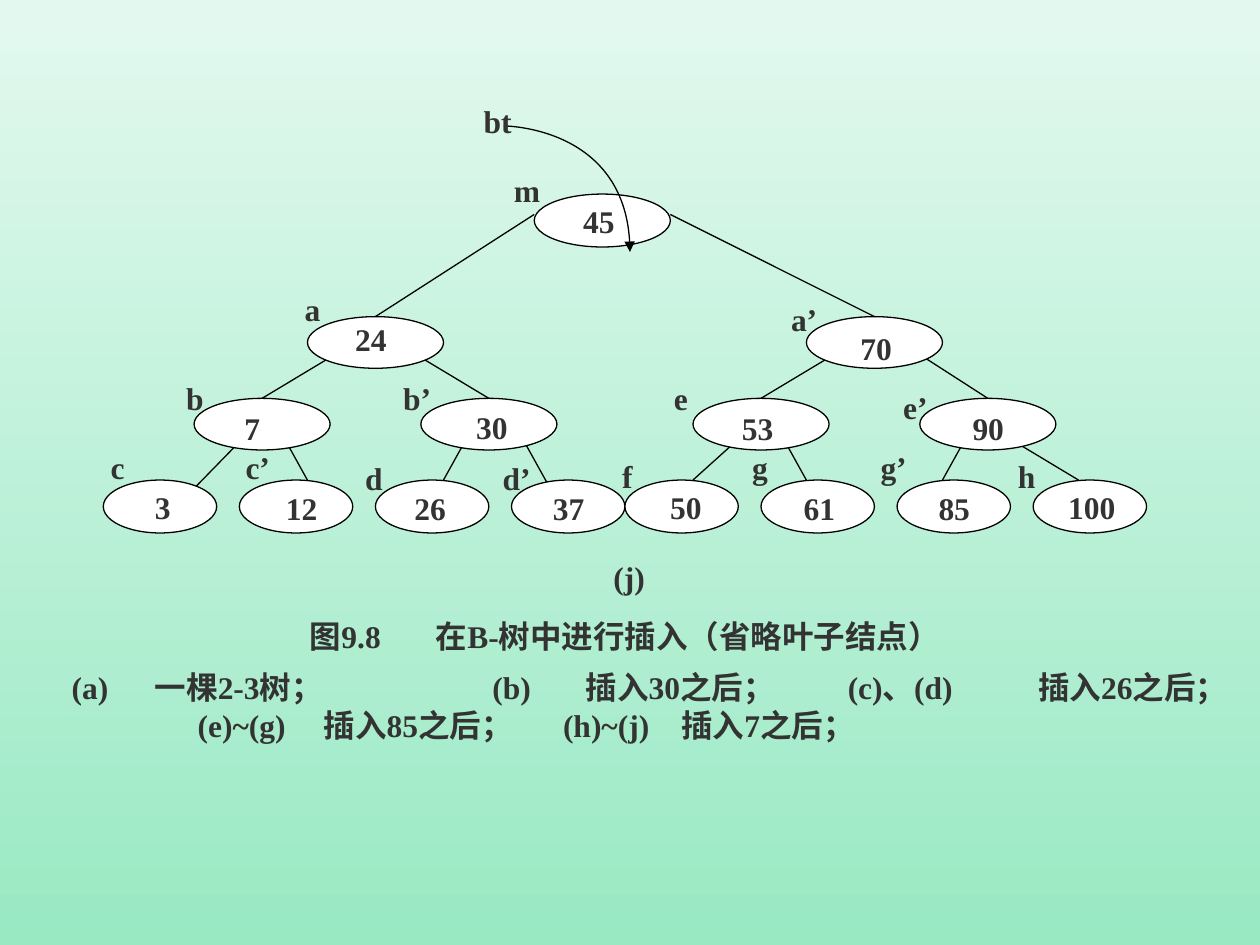
from lxml import etree
from pptx import Presentation
from pptx.dml.color import RGBColor
from pptx.enum.shapes import MSO_CONNECTOR, MSO_SHAPE
from pptx.enum.text import MSO_ANCHOR, MSO_AUTO_SIZE, PP_ALIGN
from pptx.oxml.ns import qn
from pptx.util import Inches, Pt

STRAIGHT = MSO_CONNECTOR.STRAIGHT
ELLIPSE = MSO_SHAPE.OVAL
TOP, MIDDLE = MSO_ANCHOR.TOP, MSO_ANCHOR.MIDDLE
LEFT = PP_ALIGN.LEFT
GROW = MSO_AUTO_SIZE.SHAPE_TO_FIT_TEXT

COLORS = {"sky": "E3F9EF", "mint": "99E9C3", "ink": "333333",
          "line": "000000", "node": "FFFFFF"}
FONT = "Times New Roman"
TEXT_HEIGHT = 0.4
COLUMN, GRID_LEFT = 0.18, 0.1
GRID_TOP = 1.54
ROW = (3.81 - GRID_TOP) / 14

# Each level: row, columns wide, height, left columns of its nodes.
LEVELS = [
    (0, 6, 0.42, [23]),
    (6, 6, 0.41, [13, 35]),
    (10, 6, 0.41, [8, 18, 30, 40]),
    (14, 5, 0.42, [4, 10, 16, 22, 27, 33, 39, 45]),
]
EDGES = [
    (23, 1, 16, 6), (29, 1, 38, 6),
    (14, 8, 11, 10), (18, 8, 21, 10), (36, 8, 33, 10), (40.2, 8, 43, 10),
    (11, 11, 8.1, 14.3), (12, 12, 13, 14), (20, 12, 19, 14), (22, 11, 24, 15),
    (33, 11, 30, 14), (34, 12, 35, 14), (42, 12, 41, 14), (44, 12, 47, 14),
]
VALUES = [
    ("45", 4.53, 1.55, 0.45), ("24", 2.72, 2.49, 0.45), ("70", 6.73, 2.56, 0.51),
    ("7", 1.84, 3.2, 0.32), ("30", 3.68, 3.19, 0.45), ("53", 5.79, 3.2, 0.45),
    ("90", 7.62, 3.2, 0.45), ("3", 1.13, 3.82, 0.32), ("12", 2.17, 3.83, 0.45),
    ("26", 3.19, 3.83, 0.45), ("37", 4.29, 3.83, 0.45), ("50", 5.22, 3.82, 0.51),
    ("61", 6.28, 3.83, 0.45), ("85", 7.35, 3.83, 0.45), ("100", 8.38, 3.82, 0.64),
]
LABELS = [
    ("bt", 3.74, 0.76, 0.48), ("m", 3.98, 1.31, 0.47),
    ("a", 2.32, 2.25, 0.39), ("a’", 6.18, 2.33, 0.47),
    ("b", 1.38, 2.96, 0.4), ("b’", 3.1, 2.96, 0.48),
    ("e", 5.25, 2.96, 0.37), ("e’", 7.07, 3.03, 0.45),
    ("c", 0.78, 3.51, 0.37), ("c’", 1.85, 3.51, 0.45),
    ("d", 2.8, 3.59, 0.4), ("d’", 3.89, 3.59, 0.48),
    ("f", 4.84, 3.58, 0.34), ("g", 5.87, 3.51, 0.39),
    ("g’", 6.89, 3.51, 0.47), ("h", 7.98, 3.58, 0.4),
    ("(j)", 4.77, 4.38, 0.45),
]
POINTER = [
    (4.18, 0.99), (4.24, 1.02), (4.45, 1.11), (4.48, 1.16), (4.5, 1.21),
    (4.3, 1.22), (4.32, 1.28), (4.35, 1.35), (4.55, 1.49), (4.61, 1.54),
]
CAPTION = "图9.8\t在B-树中进行插入（省略叶子结点）"
LEGEND = [
    ("(a)\t一棵2-3树；\t(b)\t插入30之后；\t(c)、(d)\t插入26之后；",
     [0.66, 3.34, 4.08, 6.16, 7.67]),
    ("\t(e)~(g)\t插入85之后；\t(h)~(j)\t插入7之后；", [1, 2, 3.9, 4.84]),
]


def color(name):
    return RGBColor.from_string(COLORS[name])


def grid(column, row):
    return Inches(GRID_LEFT + column * COLUMN), Inches(GRID_TOP + row * ROW)


def paint_background(page):
    fill = page.background.fill
    fill.gradient()
    fill.gradient_angle = 270
    for stop, name, position in zip(fill.gradient_stops, ("sky", "mint"), (0, 1)):
        stop.color.rgb = color(name)
        stop.position = position


def style_line(shape):
    shape.line.color.rgb = color("line")
    shape.line.width = Pt(0.75)


def add_edge(page, edge):
    start, end = grid(*edge[:2]), grid(*edge[2:])
    connector = page.shapes.add_connector(STRAIGHT, *start, *end)
    style_line(connector)
    etree.SubElement(connector._element.spPr, qn("a:effectLst"))


def add_node(page, column, row, columns, height):
    node = page.shapes.add_shape(ELLIPSE, *grid(column, row),
                                 Inches(columns * COLUMN), Inches(height))
    node.shadow.inherit = False
    node.fill.solid()
    node.fill.fore_color.rgb = color("node")
    style_line(node)


def add_pointer(page, points):
    builder = page.shapes.build_freeform(*points[0], scale=Inches(1))
    builder.add_line_segments(points[1:], close=False)
    pointer = builder.convert_to_shape()
    pointer.shadow.inherit = False
    pointer.fill.background()
    style_line(pointer)
    outline = pointer._element.xpath(".//a:path")[0]
    segments = outline.findall(qn("a:lnTo"))
    for first in range(0, len(segments), 3):
        curve = etree.SubElement(outline, qn("a:cubicBezTo"))
        for segment in segments[first:first + 3]:
            curve.append(segment[0])
            outline.remove(segment)
    tail = etree.SubElement(pointer.line._get_or_add_ln(), qn("a:tailEnd"))
    tail.set("type", "triangle")


def format_paragraph(para, tabs=()):
    para.alignment = LEFT
    if tabs:
        stops = etree.SubElement(para._p.get_or_add_pPr(), qn("a:tabLst"))
        for position in tabs:
            etree.SubElement(stops, qn("a:tab"), pos=str(Inches(position)), algn="l")
    for span in para.runs:
        span.font.name = FONT
        span.font.size = Pt(18)
        span.font.bold = True
        span.font.color.rgb = color("ink")


def add_text(page, text, left, top, width, anchor=MIDDLE):
    box = page.shapes.add_textbox(Inches(left), Inches(top),
                                  Inches(width), Inches(TEXT_HEIGHT))
    frame = box.text_frame
    frame.word_wrap = False
    frame.auto_size = GROW
    frame.vertical_anchor = anchor
    frame.text = text
    format_paragraph(frame.paragraphs[0])


def add_caption(page):
    title = page.shapes.title
    title.left, title.top = Inches(2.36), Inches(4.85)
    title.width, title.height = Inches(5.32), Inches(TEXT_HEIGHT)
    frame = title.text_frame
    frame.word_wrap = False
    frame.auto_size = GROW
    frame.vertical_anchor = TOP
    frame.text = CAPTION
    format_paragraph(frame.paragraphs[0], [1])


def add_legend(page):
    box = page.shapes.add_textbox(Inches(0.47), Inches(5.25), Inches(9.49), Inches(0.7))
    frame = box.text_frame
    frame.word_wrap = True
    frame.auto_size = GROW
    frame.vertical_anchor = MIDDLE
    frame.margin_right = 0
    frame.text = "\n".join(text for text, _ in LEGEND)
    for para, (_, tabs) in zip(frame.paragraphs, LEGEND):
        format_paragraph(para, tabs)


def main():
    deck = Presentation()
    deck.slide_width, deck.slide_height = Inches(10), Inches(7.5)
    page = deck.slides.add_slide(deck.slide_layouts[5])
    paint_background(page)
    for edge in EDGES:
        add_edge(page, edge)
    for row, columns, height, lefts in LEVELS:
        for column in lefts:
            add_node(page, column, row, columns, height)
    add_pointer(page, POINTER)
    for item in VALUES + LABELS:
        add_text(page, *item)
    add_caption(page)
    add_legend(page)
    deck.save("out.pptx")


if __name__ == "__main__":
    main()
